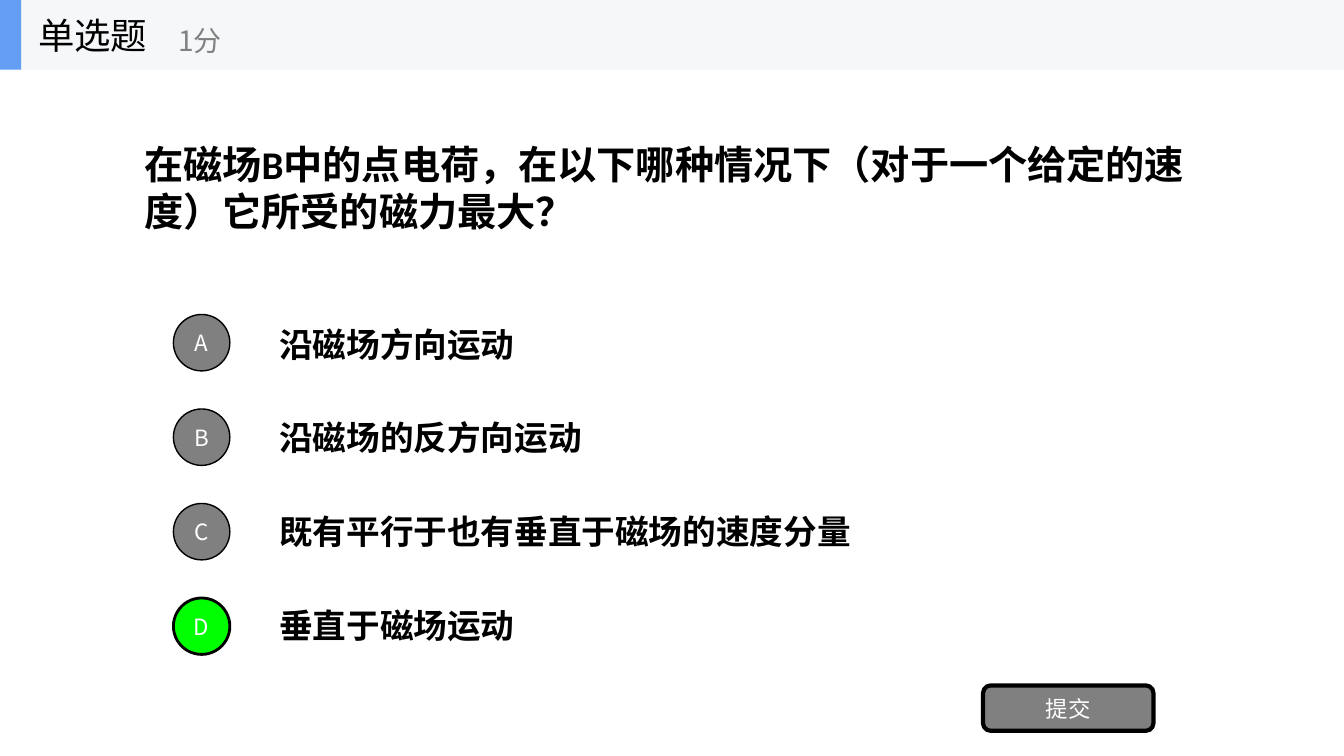
from pptx import Presentation
from pptx.dml.color import RGBColor
from pptx.enum.shapes import MSO_SHAPE
from pptx.enum.text import MSO_ANCHOR, MSO_AUTO_SIZE, PP_ALIGN
from pptx.oxml.ns import qn
from pptx.util import Inches, Pt
from lxml.etree import SubElement

COLORS = {
    "black": "000000",
    "white": "FFFFFF",
    "gray": "808080",
    "green": "00FF00",
    "blue": "639EF4",
    "pale": "F6F7F8",
}
SANS = "Noto Sans CJK SC"
BODY = "Calibri"
QUESTION = "在磁场B中的点电荷，在以下哪种情况下（对于一个给定的速度）它所受的磁力最大？"
CHOICES = [
    ("A", "沿磁场方向运动"),
    ("B", "沿磁场的反方向运动"),
    ("C", "既有平行于也有垂直于磁场的速度分量"),
    ("D", "垂直于磁场运动"),
]
ANSWER = "D"
STEP = 0.9375


def color(name):
    return RGBColor.from_string(COLORS[name])


def place(shape, left, top, width, height):
    shape.left, shape.top = Inches(left), Inches(top)
    shape.width, shape.height = Inches(width), Inches(height)


def setup(frame):
    frame.word_wrap = True
    frame.auto_size = MSO_AUTO_SIZE.NONE
    frame.vertical_anchor = MSO_ANCHOR.MIDDLE


def add_run(para, text, size, face, tone, bold=False):
    run = para.add_run()
    run.text = text
    font = run.font
    font.size, font.name, font.bold = Pt(size), face, bold
    font.color.rgb = color(tone)
    SubElement(run._r.get_or_add_rPr(), qn("a:ea")).set("typeface", face)


def add_title(slide):
    title = slide.shapes.title
    place(title, 1.33, 0.69, 10.67, 2.34)
    setup(title.text_frame)
    para = title.text_frame.paragraphs[0]
    para.alignment = PP_ALIGN.LEFT
    add_run(para, QUESTION, 28, BODY, "black", True)


def add_list(slide):
    body = slide.placeholders[1]
    place(body, 2.67, 3.05, 9.33, 3.51)
    frame = body.text_frame
    setup(frame)
    for i, (_, text) in enumerate(CHOICES):
        para = frame.add_paragraph() if i else frame.paragraphs[0]
        props = para._p.get_or_add_pPr()
        props.set("marL", "0")
        props.set("indent", "0")
        SubElement(props, qn("a:buNone"))
        para.space_before = Pt(38.2 if i else 0)
        add_run(para, text, 24, BODY, "black", True)


def add_form(slide, kind, box, fill, line=0, text=""):
    shape = slide.shapes.add_shape(kind, *map(Inches, box))
    shape.shadow.inherit = False
    shape.fill.solid()
    shape.fill.fore_color.rgb = color(fill)
    if line:
        shape.line.color.rgb = color("black")
        shape.line.width = Pt(line)
    else:
        shape.line.fill.background()
    if text:
        frame = shape.text_frame
        setup(frame)
        frame.margin_left = frame.margin_right = 0
        frame.margin_top = frame.margin_bottom = 0
        para = frame.paragraphs[0]
        para.alignment = PP_ALIGN.CENTER
        add_run(para, text, 16, SANS, "white")


def add_label(slide, box, text, size, tone):
    frame = slide.shapes.add_textbox(*map(Inches, box)).text_frame
    setup(frame)
    add_run(frame.paragraphs[0], text, size, SANS, tone)


def main():
    deck = Presentation()
    deck.slide_width, deck.slide_height = Inches(13.33), Inches(7.5)
    slide = deck.slides.add_slide(deck.slide_layouts[1])

    add_title(slide)
    add_list(slide)
    for i, (mark, _) in enumerate(CHOICES):
        right = mark == ANSWER
        box = (1.72, 3.12 + i * STEP, 0.56, 0.56)
        fill = "green" if right else "gray"
        add_form(slide, MSO_SHAPE.OVAL, box, fill, 2 if right else 1, mark)
    add_form(slide, MSO_SHAPE.ROUNDED_RECTANGLE, (9.75, 6.8, 1.69, 0.45),
             "gray", 3, "提交")

    add_form(slide, MSO_SHAPE.RECTANGLE, (0, 0, 13.33, 0.69), "pale")
    add_form(slide, MSO_SHAPE.RECTANGLE, (0, 0, 0.21, 0.69), "blue")
    add_label(slide, (0.28, 0, 2.08, 0.69), "单选题", 26, "black")
    add_label(slide, (1.67, 0.12, 2.5, 0.56), "1分", 20, "gray")
    deck.save("out.pptx")


if __name__ == "__main__":
    main()
